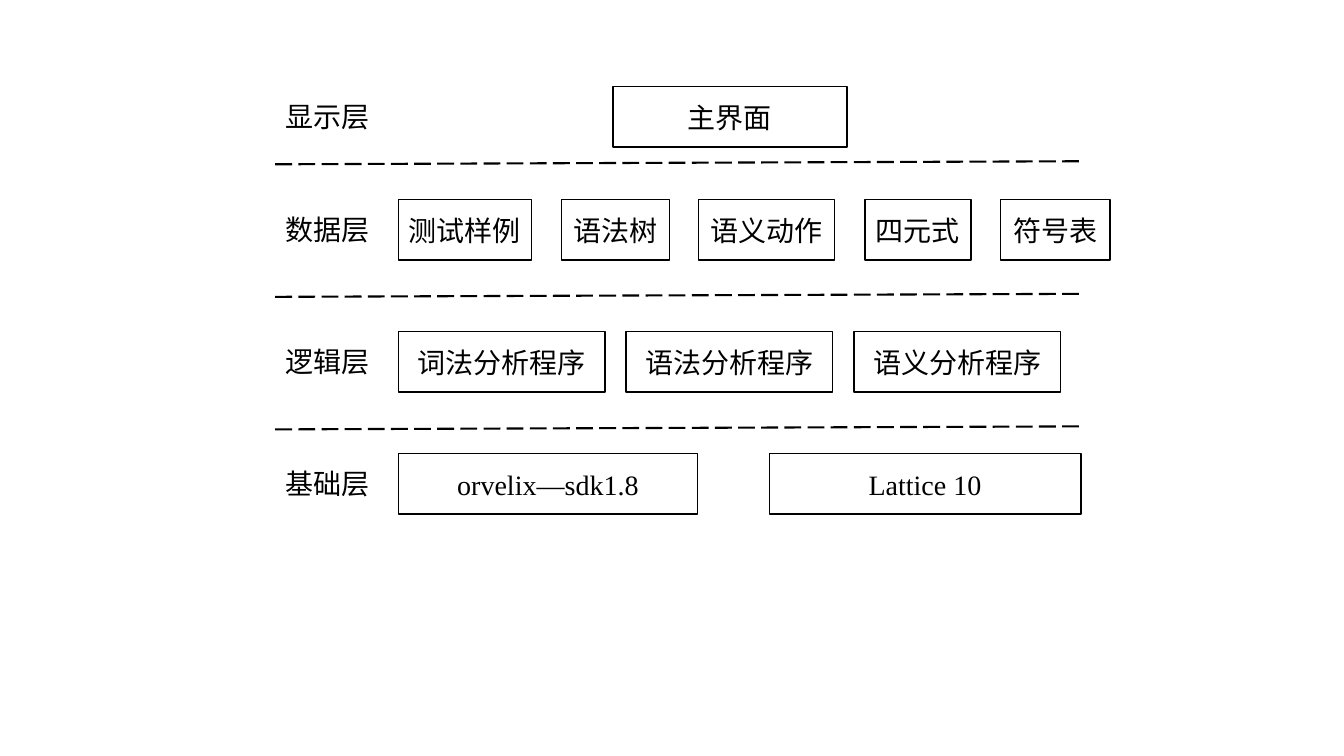
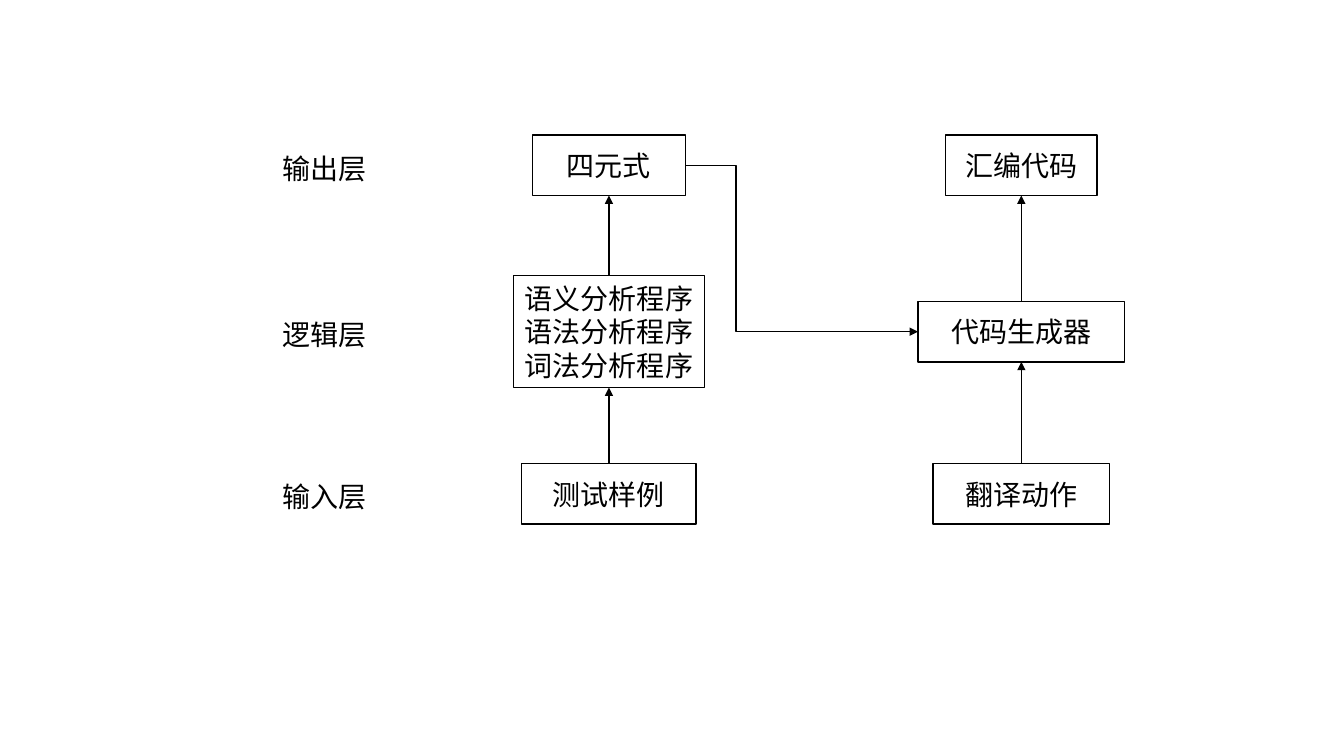
from dataclasses import dataclass

from lxml.etree import SubElement
from pptx import Presentation
from pptx.dml.color import RGBColor
from pptx.enum.dml import MSO_LINE_DASH_STYLE as Dash
from pptx.enum.shapes import MSO_AUTO_SHAPE_TYPE as ShapeType, MSO_CONNECTOR as Connector
from pptx.enum.text import MSO_ANCHOR as Anchor, MSO_AUTO_SIZE as AutoSize, PP_ALIGN as Align
from pptx.oxml.ns import qn
from pptx.util import Inches, Pt


@dataclass(frozen=True)
class Theme:
    """Colours, fonts and sizes shared by both slides."""
    ink: RGBColor = RGBColor(0, 0, 0)
    paper: RGBColor = RGBColor(255, 255, 255)
    latin_font: str = "Times New Roman"
    chinese_font: str = "Noto Sans CJK SC"
    text_size: float = 20
    border: float = 1
    divider: float = 1.5
    box_height: float = 0.6
    label_width: float = 1.98
    label_height: float = 0.44


@dataclass(frozen=True)
class Region:
    """An area of a slide, in inches."""
    left: float
    top: float
    width: float
    height: float


THEME = Theme()
TOP, LEFT, BOTTOM, RIGHT = range(4)


def write_text(shape, text, font=THEME.latin_font, align=Align.LEFT, anchor=Anchor.TOP):
    """Write one paragraph per line of text in the given format."""
    frame = shape.text_frame
    frame.word_wrap = True
    frame.vertical_anchor = anchor
    frame.text = text
    for paragraph in frame.paragraphs:
        paragraph.alignment = align
        for run in paragraph.runs:
            run.font.name = font
            run.font.size = Pt(THEME.text_size)
            run.font.color.rgb = THEME.ink
            SubElement(run.font._element, qn("a:ea"), typeface=THEME.chinese_font)


def add_label(slide, text, left, middle):
    """Add a layer name centred vertically on middle."""
    top = middle - THEME.label_height / 2
    label = slide.shapes.add_textbox(Inches(left), Inches(top),
                                     Inches(THEME.label_width), Inches(THEME.label_height))
    write_text(label, text, font=THEME.chinese_font)
    label.text_frame.auto_size = AutoSize.SHAPE_TO_FIT_TEXT


def add_box(slide, text, left, middle, width, height=THEME.box_height):
    """Add a bordered box centred vertically on middle."""
    shape = slide.shapes.add_shape(ShapeType.RECTANGLE, Inches(left),
                                   Inches(middle - height / 2), Inches(width), Inches(height))
    shape.shadow.inherit = False
    shape.fill.solid()
    shape.fill.fore_color.rgb = THEME.paper
    shape.line.color.rgb = THEME.ink
    shape.line.width = Pt(THEME.border)
    write_text(shape, text, align=Align.CENTER, anchor=Anchor.MIDDLE)
    return shape


def add_line(slide, start=(0, 0), end=(0, 0), kind=Connector.STRAIGHT, width=THEME.border):
    """Add a plain connector between two points."""
    line = slide.shapes.add_connector(kind, *(Inches(value) for value in (*start, *end)))
    line.line.color.rgb = THEME.ink
    line.line.width = Pt(width)
    SubElement(line._element.spPr, qn("a:effectLst"))
    return line


def add_arrow(slide, source, source_side, target, target_side, bend=None):
    """Join two boxes with an arrow that may bend at a share of its width."""
    kind = Connector.STRAIGHT if bend is None else Connector.ELBOW
    arrow = add_line(slide, kind=kind)
    arrow.begin_connect(source, source_side)
    arrow.end_connect(target, target_side)
    SubElement(arrow.line._get_or_add_ln(), qn("a:tailEnd"), type="triangle")
    if bend is not None:
        guides = arrow._element.spPr.find(qn("a:prstGeom")).get_or_add_avLst()
        SubElement(guides, qn("a:gd"), name="adj1", fmla=f"val {round(bend * 100000)}")


def draw_layers(slide, region):
    """Draw layer rows of boxes with dashed dividers between them."""
    layers = [
        ("显示层", 0.3, [("主界面", 3.35, 2.32)]),
        ("数据层", 1.42, [("测试样例", 1.22, 1.32), ("语法树", 2.84, 1.07),
                       ("语义动作", 4.2, 1.35), ("四元式", 5.85, 1.05), ("符号表", 7.19, 1.09)]),
        ("逻辑层", 2.73, [(name, 1.22 + 2.26 * index, 2.05) for index, name in
                       enumerate(["词法分析程序", "语法分析程序", "语义分析程序"])]),
        ("基础层", 3.94, [("orvelix—sdk1.8", 1.22, 2.97), ("Lattice 10", 4.9, 3.09)]),
    ]
    for index in range(len(layers) - 1):
        y = region.top + 0.77 + 1.315 * index
        divider = add_line(slide, (region.left, y), (region.left + 7.99, y - 0.03),
                           width=THEME.divider)
        divider.line.dash_style = Dash.LONG_DASH
    for name, offset, boxes in layers:
        middle = region.top + offset
        add_label(slide, name, region.left, middle)
        for text, left, width in boxes:
            add_box(slide, text, region.left + left, middle, width)


def draw_flow(slide, region):
    """Draw two upward chains of boxes and the link between them."""
    middles = [region.top + offset for offset in (0.3, 1.95, 3.56)]
    for name, middle in zip(["输出层", "逻辑层", "输入层"], middles):
        add_label(slide, name, region.left, middle + 0.03)

    analysis = "语义分析程序\n语法分析程序\n词法分析程序"
    columns = [
        (3.34, [("四元式", 1.52, 0.6), (analysis, 1.89, 1.11), ("测试样例", 1.73, 0.6)]),
        (7.43, [("汇编代码", 1.5, 0.6), ("代码生成器", 2.05, 0.6), ("翻译动作", 1.75, 0.6)]),
    ]
    chains = []
    for center, boxes in columns:
        chain = [add_box(slide, text, region.left + center - width / 2, middle, width, height)
                 for (text, width, height), middle in zip(boxes, middles)]
        for upper, lower in zip(chain, chain[1:]):
            add_arrow(slide, lower, TOP, upper, BOTTOM)
        chains.append(chain)
    add_arrow(slide, chains[0][0], RIGHT, chains[1][1], LEFT, bend=0.217)


def build():
    """Build and save the presentation."""
    presentation = Presentation()
    presentation.slide_width = Inches(13.33)
    presentation.slide_height = Inches(7.5)
    blank = presentation.slide_layouts[6]
    pages = [(draw_layers, Region(2.73, 0.86, 8.28, 4.24)),
             (draw_flow, Region(2.7, 1.34, 8.45, 3.87))]
    for draw, region in pages:
        draw(presentation.slides.add_slide(blank), region)
    presentation.save("out.pptx")


build()
